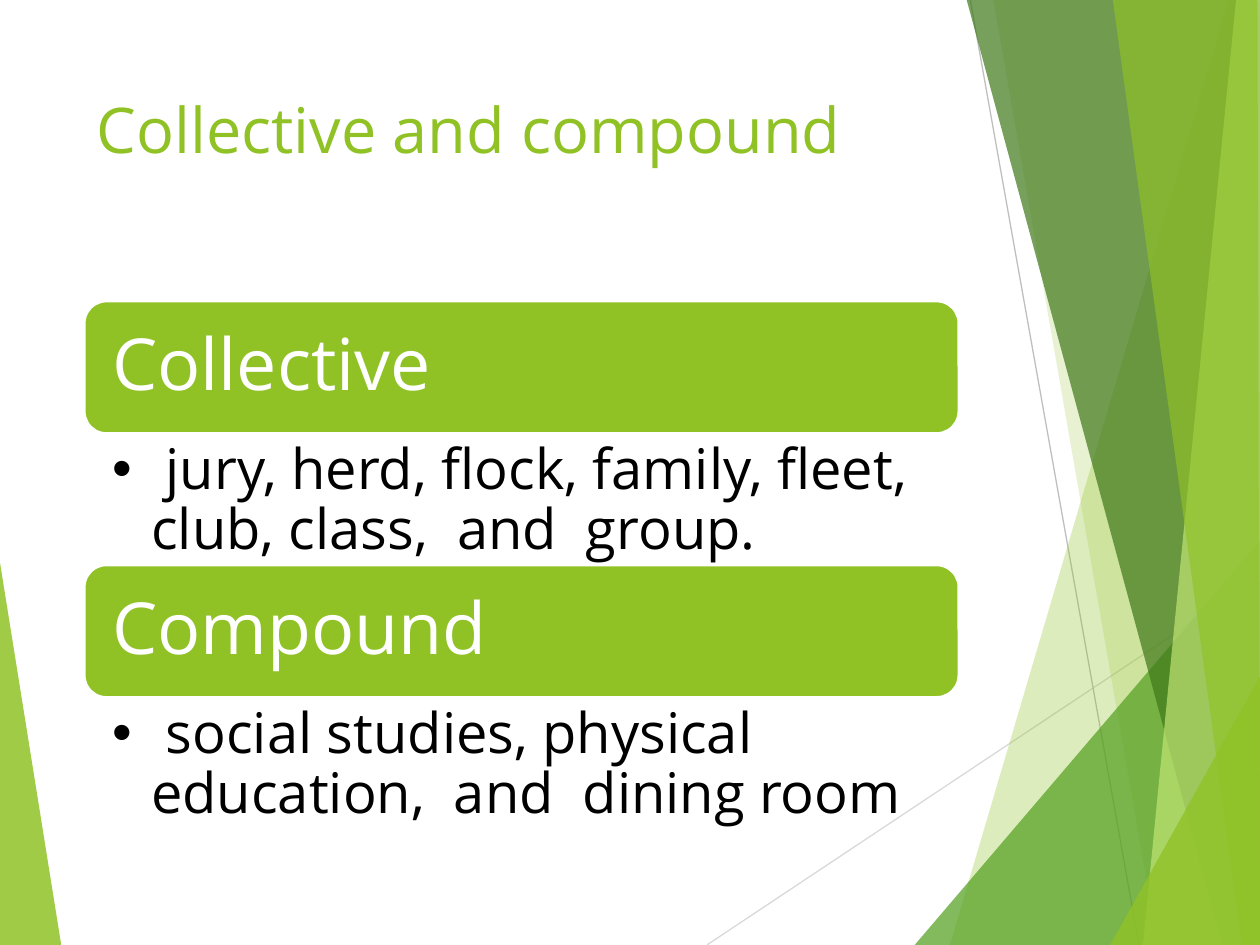
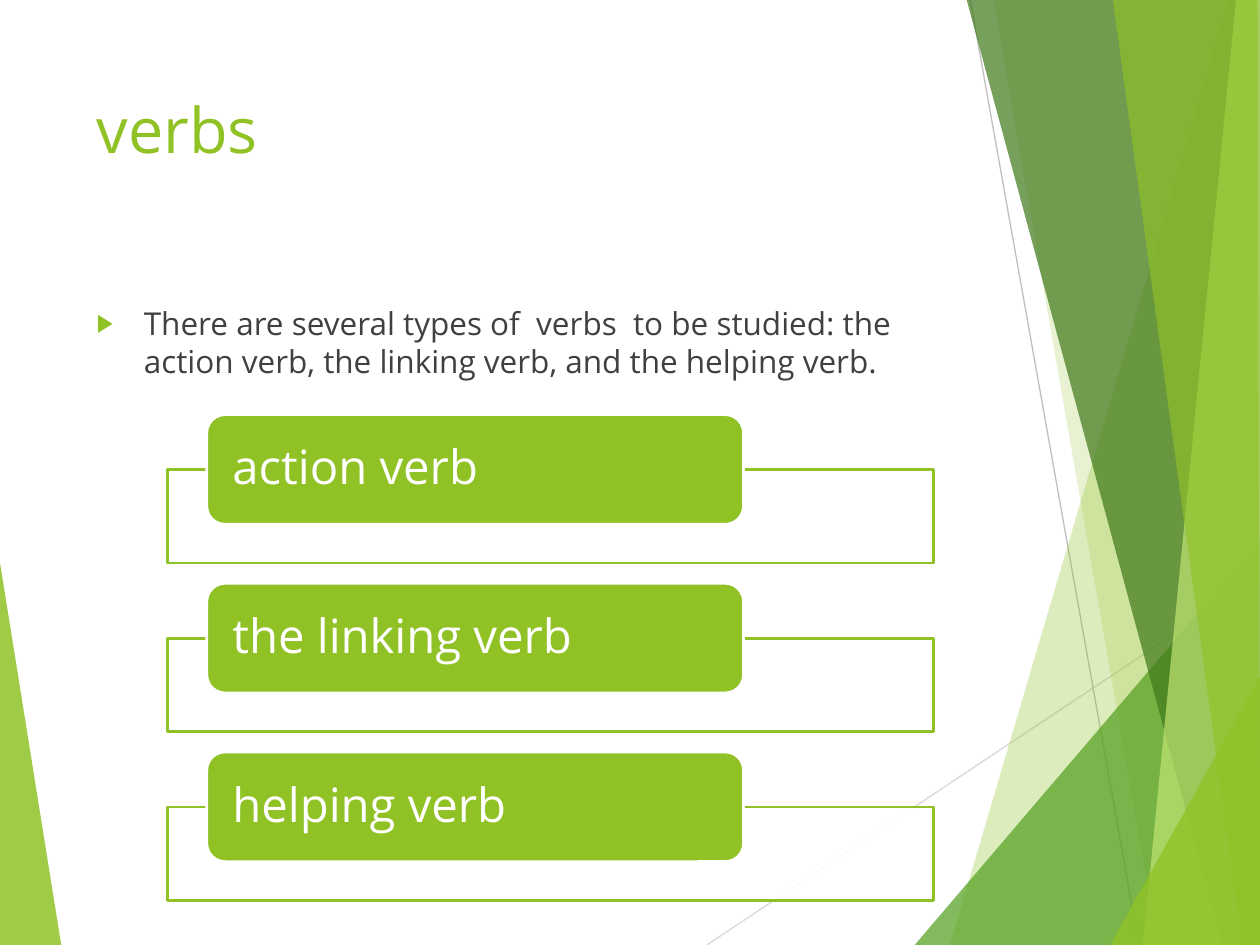
import pptx
import pptx.util
import pptx.dml.color
import pptx.enum.shapes
import pptx.enum.text
import pptx.oxml.ns
import lxml.etree
from dataclasses import dataclass

Cm = pptx.util.Cm
Pt = pptx.util.Pt
Shapes = pptx.enum.shapes.MSO_SHAPE
Anchor = pptx.enum.text.MSO_ANCHOR
qn = pptx.oxml.ns.qn


@dataclass(frozen=True)
class Theme:
    font: str = "Open Sans"
    lime: str = "90C226"
    green: str = "54A021"
    forest: str = "3F7819"
    pale: str = "C0E474"
    white: str = "FFFFFF"
    black: str = "000000"
    body: str = "404040"
    light_gray: str = "D9D9D9"
    gray: str = "BFBFBF"
    title_size: int = 36
    heading_size: int = 41
    list_size: int = 32
    label_size: int = 27
    body_size: int = 18
    outline: float = 1.5
    hairline: float = 0.75


THEME = Theme()
WIDTH, HEIGHT = 25.4, 19.05
LEFT, CONTENT_WIDTH = 1.7, 17.63
EDGE, TOP = 25.43, -0.03

RAYS = [
    (THEME.light_gray, (14.25, HEIGHT), (EDGE, 11.61)),
    (THEME.gray, (19.56, 0), (22.96, HEIGHT)),
]
LEFT_SHARD = (THEME.lime, 85, [(-0.03, 11.15), (1.24, 19.08), (-0.03, HEIGHT)])
RIGHT_SHARDS = [
    (THEME.lime, 30, [(24.77, 0), (19.15, HEIGHT), (EDGE, 19.08), (EDGE, 0.03)]),
    (THEME.lime, 20, [(20.02, TOP), (23.34, HEIGHT), (EDGE, HEIGHT), (EDGE, TOP)]),
    (THEME.green, 72, [(18.44, HEIGHT), (WIDTH, 10.9), (EDGE, HEIGHT)]),
    (THEME.forest, 70, [(19.48, TOP), (24.64, HEIGHT), (EDGE, 19.02), (EDGE, TOP)]),
    (THEME.pale, 70, [(24.92, TOP), (23.04, HEIGHT), (EDGE, HEIGHT), (WIDTH, TOP)]),
    (THEME.lime, 65, [(22.43, TOP), (25.04, HEIGHT), (WIDTH, HEIGHT), (25.35, TOP)]),
    (THEME.lime, 80, [(22.38, HEIGHT), (EDGE, 13.59), (EDGE, HEIGHT)]),
]


def rgb(color):
    return pptx.dml.color.RGBColor.from_string(color)


class Painter:
    def __init__(self, theme):
        self.theme = theme
        self.deck = pptx.Presentation()
        self.deck.slide_width = Cm(WIDTH)
        self.deck.slide_height = Cm(HEIGHT)
        self.page = None

    def new_page(self, title):
        self.page = self.deck.slides.add_slide(self.deck.slide_layouts[6])
        self.shard(*LEFT_SHARD)
        for ray in RAYS:
            self.ray(*ray)
        for shard in RIGHT_SHARDS:
            self.shard(*shard)
        self.text_box(title, (LEFT, 1.7, CONTENT_WIDTH, 3.66),
                      self.theme.title_size, self.theme.lime)

    def paint(self, shape, fill, opacity=100, outline=None):
        shape.shadow.inherit = False
        shape.fill.solid()
        shape.fill.fore_color.rgb = rgb(fill)
        if opacity < 100:
            color = shape.element.spPr.find(".//" + qn("a:srgbClr"))
            lxml.etree.SubElement(color, qn("a:alpha"), val=str(opacity * 1000))
        if outline:
            shape.line.color.rgb = rgb(outline)
            shape.line.width = Pt(self.theme.outline)
        else:
            shape.line.fill.background()

    def shard(self, fill, opacity, points):
        corners = [(Cm(x), Cm(y)) for x, y in points]
        builder = self.page.shapes.build_freeform(*corners[0])
        builder.add_line_segments(corners[1:], close=True)
        self.paint(builder.convert_to_shape(), fill, opacity)

    def ray(self, color, start, end):
        line = self.page.shapes.add_connector(
            pptx.enum.shapes.MSO_CONNECTOR.STRAIGHT, *map(Cm, start + end))
        line.line.color.rgb = rgb(color)
        line.line.width = Pt(self.theme.hairline)
        lxml.etree.SubElement(line.element.spPr, qn("a:effectLst"))

    def set_text(self, shape, text, size, color, insets, anchor=Anchor.TOP):
        frame = shape.text_frame
        frame.word_wrap = True
        frame.vertical_anchor = anchor
        frame.margin_left, frame.margin_top, frame.margin_right, frame.margin_bottom = map(Cm, insets)
        para = frame.paragraphs[0]
        para.text = text
        para.alignment = pptx.enum.text.PP_ALIGN.LEFT
        para.font.name = self.theme.font
        para.font.size = Pt(size)
        para.font.color.rgb = rgb(color)
        return para

    def text_box(self, text, place, size, color, insets=(0.25, 0.13, 0.25, 0.13)):
        box = self.page.shapes.add_textbox(*map(Cm, place))
        return self.set_text(box, text, size, color, insets)

    def bullet(self, para, mark, indent, color=None, percent=100):
        properties = para._p.get_or_add_pPr()
        properties.set("marL", str(Cm(indent)))
        properties.set("indent", str(-Cm(indent)))
        following = properties.find(qn("a:defRPr"))
        parts = []
        if color:
            holder = lxml.etree.Element(qn("a:buClr"))
            lxml.etree.SubElement(holder, qn("a:srgbClr"), val=color)
            parts.append(holder)
        parts.append(lxml.etree.Element(qn("a:buSzPct"), val=str(percent * 1000)))
        parts.append(lxml.etree.Element(qn("a:buFont"), typeface="Arial"))
        parts.append(lxml.etree.Element(qn("a:buChar"), char=mark))
        for part in parts:
            if following is None:
                properties.append(part)
            else:
                following.addprevious(part)

    def card(self, text, place, size, insets):
        card = self.page.shapes.add_shape(Shapes.ROUNDED_RECTANGLE, *map(Cm, place))
        self.paint(card, self.theme.lime, outline=self.theme.white)
        para = self.set_text(card, text, size, self.theme.white, insets, Anchor.MIDDLE)
        para.line_spacing = 0.9

    def frame(self, place):
        frame = self.page.shapes.add_shape(Shapes.RECTANGLE, *map(Cm, place))
        self.paint(frame, self.theme.white, 90, self.theme.lime)

    def noun_group(self, heading, examples, top):
        height = 2.67
        self.card(heading, (LEFT, top, CONTENT_WIDTH, height),
                  self.theme.heading_size, (0.43, 0.43, 0.43, 0.43))
        para = self.text_box(examples, (LEFT, top + height, CONTENT_WIDTH, 2.64),
                             self.theme.list_size, self.theme.black, (0.56, 0.15, 0.81, 0.15))
        para.line_spacing = 0.9
        self.bullet(para, "•", 0.79)

    def verb_type(self, label, top):
        self.frame((3.38, top + 1.11, 15.44, 1.88))
        self.card(label, (4.17, top, 10.82, 2.21),
                  self.theme.label_size, (0.41, 0, 0.41, 0))

    def introduction(self, text):
        para = self.text_box(text, (LEFT, 6, CONTENT_WIDTH, 10.77),
                             self.theme.body_size, self.theme.body)
        para.space_before = Pt(10)
        self.bullet(para, "▶", 0.95, self.theme.lime, 80)


painter = Painter(THEME)

painter.new_page("Collective and compound")
NOUNS = [
    ("Collective", " jury, herd, ﬂock, family, ﬂeet, club, class,  and  group."),
    ("Compound", " social studies, physical education,  and  dining room"),
]
for row, (heading, examples) in enumerate(NOUNS):
    painter.noun_group(heading, examples, 6.07 + row * 5.32)

painter.new_page("verbs")
painter.introduction("There are several types of  verbs  to be studied: "
                     "the action verb, the linking verb, and the helping verb.")
for row, label in enumerate(["action verb", "the linking verb", "helping verb"]):
    painter.verb_type(label, 8.36 + row * 3.4)

painter.deck.save("out.pptx")
